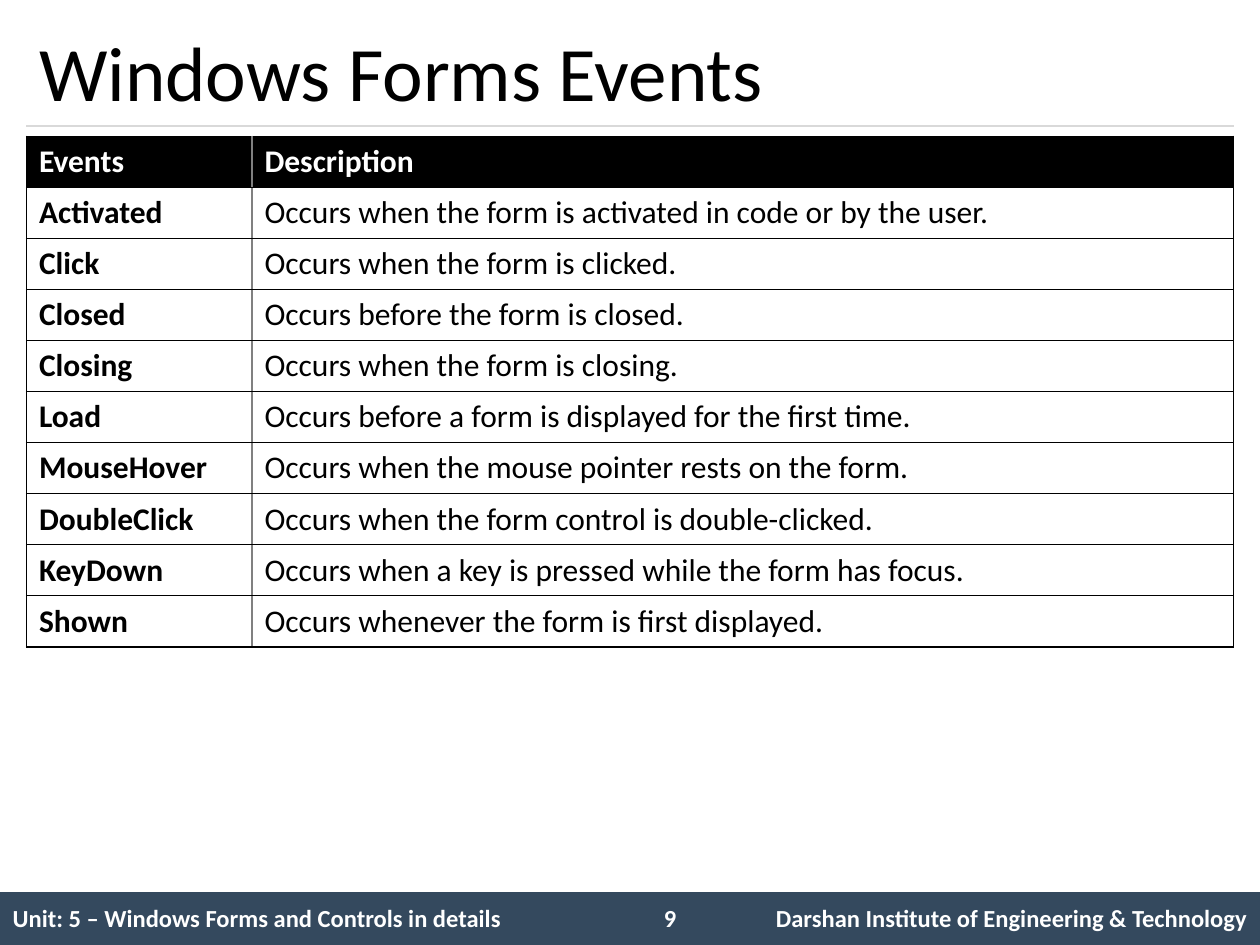
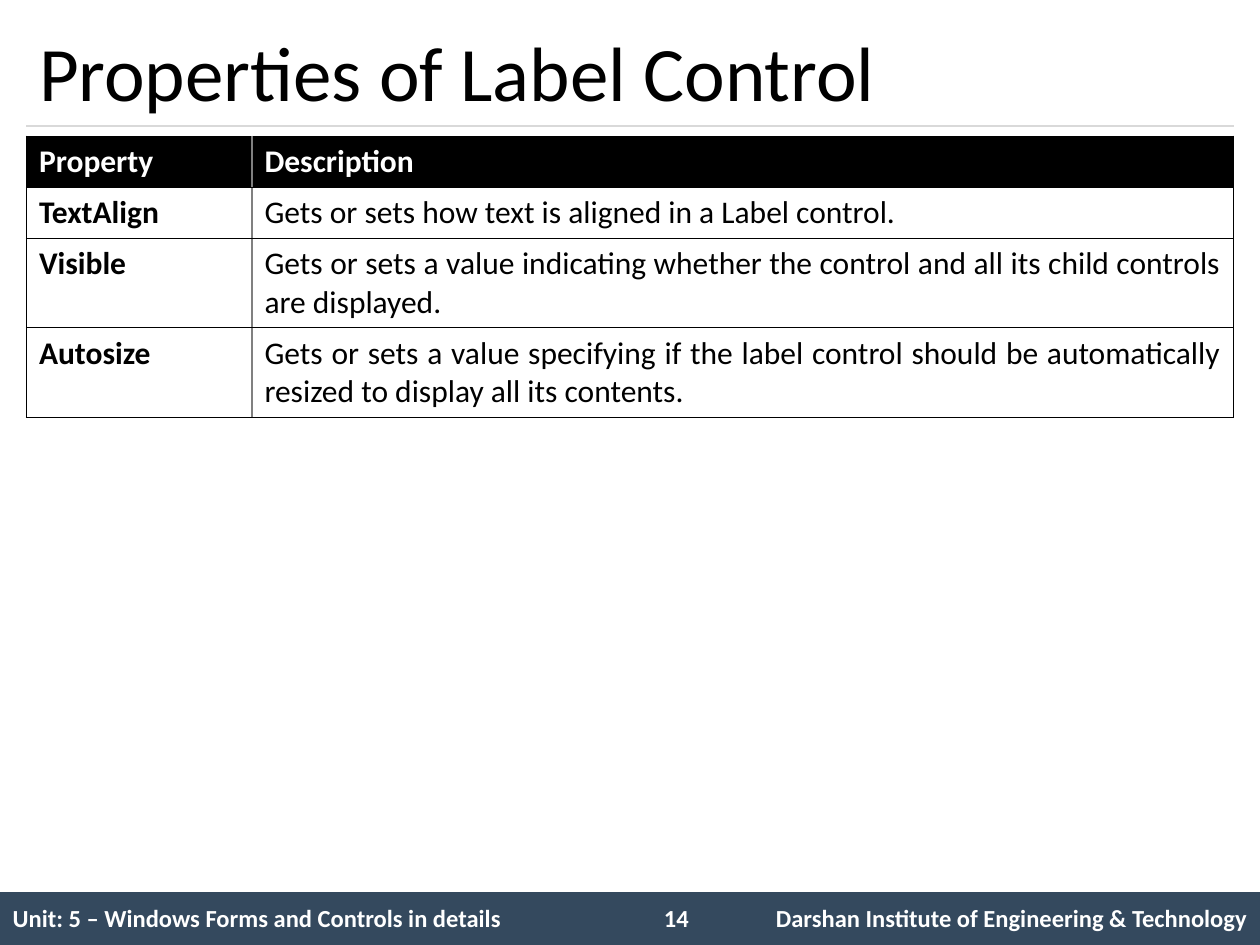
import dataclasses

import lxml.etree
import pptx
import pptx.dml.color
import pptx.enum.shapes
import pptx.enum.text
import pptx.oxml.ns
import pptx.util

Inches = pptx.util.Inches
Pt = pptx.util.Pt
Align = pptx.enum.text.PP_ALIGN
Anchor = pptx.enum.text.MSO_ANCHOR
qn = pptx.oxml.ns.qn


@dataclasses.dataclass(frozen=True)
class Theme:
    font: str = "Calibri"
    ink: str = "000000"
    paper: str = "FFFFFF"
    band: str = "34495E"
    rule: str = "D9D9D9"
    divider: str = "808080"
    title_size: int = 44
    table_size: int = 18
    footer_size: int = 14
    thin: float = 0.75


THEME = Theme()
SLIDE_WIDTH, SLIDE_HEIGHT = 10, 7.5
MARGIN = 0.21
CONTENT_WIDTH = SLIDE_WIDTH - 2 * MARGIN
NAME_WIDTH = 1.79
FOOTER_TOP = 7.08
FOOTER_COLUMNS = (5.08, 0.67, 4.25)
UNIT = "Unit: 5 – Windows Forms and Controls in details"
INSTITUTE = "Darshan Institute of Engineering & Technology"

EVENTS = [
    ("Events", "Description"),
    ("Activated", "Occurs when the form is activated in code or by the user."),
    ("Click", "Occurs when the form is clicked."),
    ("Closed", "Occurs before the form is closed."),
    ("Closing", "Occurs when the form is closing."),
    ("Load", "Occurs before a form is displayed for the first time."),
    ("MouseHover", "Occurs when the mouse pointer rests on the form."),
    ("DoubleClick", "Occurs when the form control is double-clicked."),
    ("KeyDown", "Occurs when a key is pressed while the form has focus."),
    ("Shown", "Occurs whenever the form is first displayed."),
]
LABEL_PROPERTIES = [
    ("Property", "Description"),
    ("TextAlign", "Gets or sets how text is aligned in a Label control."),
    ("Visible", "Gets or sets a value indicating whether the control and all "
                "its child controls are displayed."),
    ("Autosize", "Gets or sets a value specifying if the label control should "
                 "be automatically resized to display all its contents."),
]


def rgb(color):
    return pptx.dml.color.RGBColor.from_string(color)


def write(frame, text, size, color, bold=False, align=Align.LEFT):
    para = frame.paragraphs[0]
    para.alignment = align
    span = para.add_run()
    span.text = text
    span.font.name = THEME.font
    span.font.size = Pt(size)
    span.font.bold = bold
    span.font.color.rgb = rgb(color)


def set_border(cell, side, color=None, width=THEME.thin):
    """Draw one side (L, R, T or B, in that order) or hide it without a colour."""
    properties = cell._tc.get_or_add_tcPr()
    line = lxml.etree.SubElement(properties, qn(f"a:ln{side}"), w=str(Pt(width)))
    if color is None:
        lxml.etree.SubElement(line, qn("a:noFill"))
    else:
        fill = lxml.etree.SubElement(line, qn("a:solidFill"))
        lxml.etree.SubElement(fill, qn("a:srgbClr"), val=color)


def add_grid(slide, left, top, column_widths, row_heights):
    frame = slide.shapes.add_table(
        len(row_heights), len(column_widths), Inches(left), Inches(top),
        Inches(sum(column_widths)), sum(row_heights))
    table = frame.table
    table.horz_banding = False
    for column, width in zip(table.columns, column_widths):
        column.width = Inches(width)
    for row, height in zip(table.rows, row_heights):
        row.height = height
    return table


def add_title(slide, text):
    title = slide.shapes.title
    title.left, title.top = Inches(MARGIN), Inches(0.12)
    title.width, title.height = Inches(CONTENT_WIDTH), Inches(0.88)
    title.text_frame.vertical_anchor = Anchor.MIDDLE
    write(title.text_frame, text, THEME.title_size, THEME.ink)


def add_title_rule(slide):
    rule = slide.shapes.add_connector(
        pptx.enum.shapes.MSO_CONNECTOR.STRAIGHT, Inches(MARGIN), Inches(1),
        Inches(MARGIN + CONTENT_WIDTH), Inches(1))
    rule.line.color.rgb = rgb(THEME.rule)
    rule.line.width = Pt(THEME.thin)
    lxml.etree.SubElement(rule._element.spPr, qn("a:effectLst"))


def add_footer(slide, page_number):
    band = slide.shapes.add_shape(
        pptx.enum.shapes.MSO_SHAPE.RECTANGLE, 0, Inches(FOOTER_TOP),
        Inches(SLIDE_WIDTH), Inches(SLIDE_HEIGHT - FOOTER_TOP))
    band.shadow.inherit = False
    band.fill.solid()
    band.fill.fore_color.rgb = rgb(THEME.band)
    band.line.fill.background()

    table = add_grid(slide, 0, FOOTER_TOP, FOOTER_COLUMNS, [Inches(0.43)])
    table.first_row = False
    for cell in table.iter_cells():
        for side in "LRTB":
            set_border(cell, side)
        cell.fill.background()
        cell.vertical_anchor = Anchor.MIDDLE
    for column, text, align in ((0, UNIT, Align.LEFT), (2, INSTITUTE, Align.RIGHT)):
        write(table.cell(0, column).text_frame, text, THEME.footer_size,
              THEME.paper, True, align)

    box = slide.shapes.add_textbox(
        Inches(5.17), Inches(7.12), Inches(0.58), Inches(0.34))
    box.text_frame.word_wrap = True
    write(box.text_frame, str(page_number), THEME.footer_size, THEME.paper, True)


def add_definitions(slide, entries, line_counts, align, anchor):
    """Add a table of names and descriptions below a black heading row."""
    heights = [Inches(0.1) + Pt(22) * count for count in line_counts]
    widths = (NAME_WIDTH, CONTENT_WIDTH - NAME_WIDTH)
    table = add_grid(slide, MARGIN, 1.08, widths, heights)
    for row, entry in enumerate(entries):
        heading = row == 0
        for column, text in enumerate(entry):
            cell = table.cell(row, column)
            inner_side = "R" if column == 0 else "L"
            for side in "LRTB":
                if side == inner_side:
                    set_border(cell, side, THEME.divider, 1)
                else:
                    set_border(cell, side, THEME.ink)
            cell.fill.solid()
            cell.fill.fore_color.rgb = rgb(THEME.ink if heading else THEME.paper)
            cell.vertical_anchor = Anchor.TOP if heading else anchor
            description = column == 1 and not heading
            write(cell.text_frame, text, THEME.table_size,
                  THEME.paper if heading else THEME.ink,
                  bold=not description, align=align if description else Align.LEFT)


def add_page(deck, title, page_number):
    slide = deck.slides.add_slide(deck.slide_layouts.get_by_name("Title Only"))
    add_title_rule(slide)
    add_footer(slide, page_number)
    add_title(slide, title)
    return slide


def main():
    deck = pptx.Presentation()
    deck.slide_width, deck.slide_height = Inches(SLIDE_WIDTH), Inches(SLIDE_HEIGHT)

    events = add_page(deck, "Windows Forms Events", 9)
    add_definitions(events, EVENTS, [1] * len(EVENTS), Align.LEFT, Anchor.MIDDLE)

    properties = add_page(deck, "Properties of Label Control", 14)
    add_definitions(properties, LABEL_PROPERTIES, [1, 1, 2, 2],
                    Align.JUSTIFY, Anchor.TOP)

    deck.save("out.pptx")


if __name__ == "__main__":
    main()
